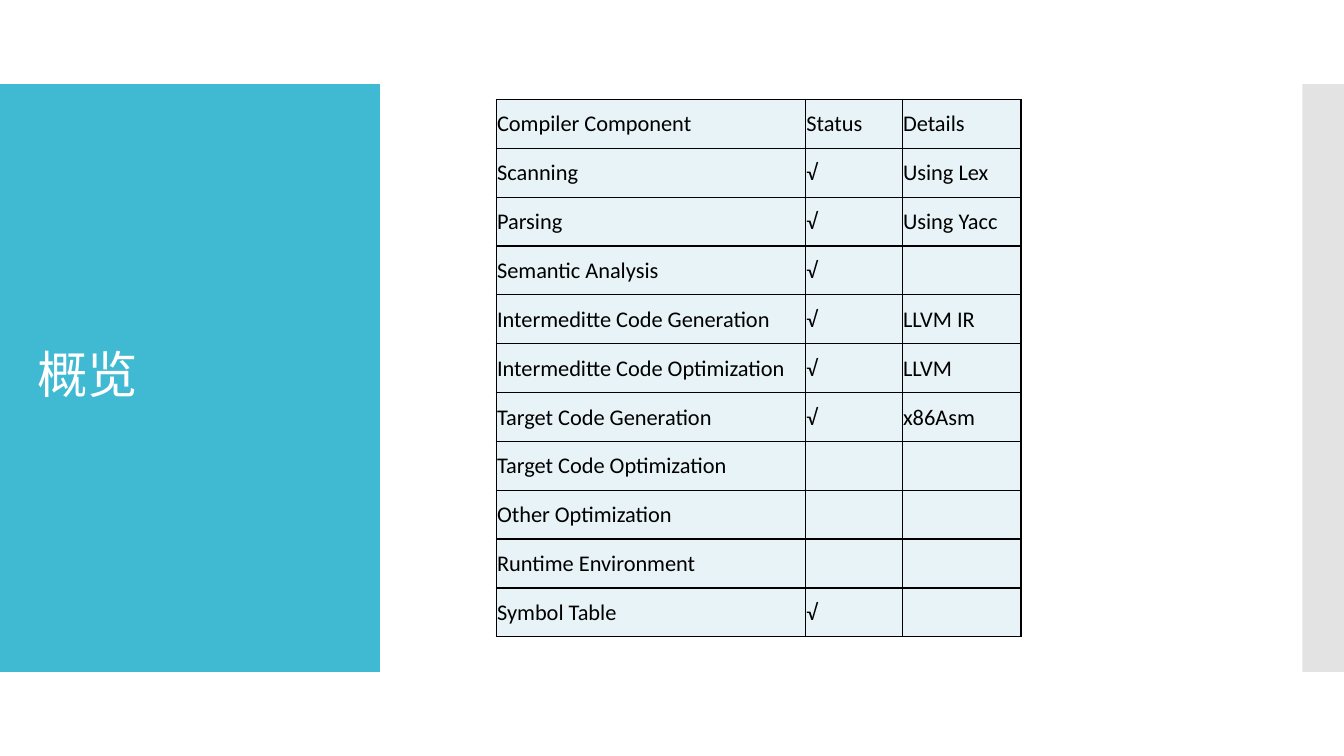
from lxml import etree
from pptx import Presentation
from pptx.dml.color import RGBColor
from pptx.enum.shapes import MSO_SHAPE
from pptx.enum.text import MSO_ANCHOR
from pptx.oxml import parse_xml
from pptx.oxml.ns import nsdecls, qn
from pptx.util import Pt

RECT = MSO_SHAPE.RECTANGLE
MIDDLE = MSO_ANCHOR.MIDDLE
TEAL = RGBColor(0x40, 0xBA, 0xD2)
GREY = RGBColor(0xC8, 0xC8, 0xC8)
PALE = RGBColor(0xE8, 0xF3, 0xF7)
WHITE = RGBColor(0xFF, 0xFF, 0xFF)
BLACK = RGBColor(0, 0, 0)
FONT = "Calibri"
DONE = "√"

ROWS = [
    ("Compiler Component", "Status", "Details"),
    ("Scanning", DONE, "Using Lex"),
    ("Parsing", DONE, "Using Yacc"),
    ("Semantic Analysis", DONE, ""),
    ("Intermeditte Code Generation", DONE, "LLVM IR"),
    ("Intermeditte Code Optimization", DONE, "LLVM"),
    ("Target Code Generation", DONE, "x86Asm"),
    ("Target Code Optimization", "", ""),
    ("Other Optimization", "", ""),
    ("Runtime Environment", "", ""),
    ("Symbol Table", DONE, ""),
]
WIDTHS = [221, 69, 85]
ROW_H = 34.9


def add_band(left, width, color):
    band = slide.shapes.add_shape(RECT, Pt(left), Pt(60), Pt(width), Pt(420))
    band.shadow.inherit = False
    band.fill.solid()
    band.fill.fore_color.rgb = color
    band.line.fill.background()
    return band


def set_font(para, size, color):
    para.font.name = FONT
    para.font.size = Pt(size)
    para.font.color.rgb = color


deck = Presentation()
deck.slide_width, deck.slide_height = Pt(960), Pt(540)
slide = deck.slides.add_slide(deck.slide_layouts[6])

# Side bands
add_band(0, 271.3, TEAL)
edge = add_band(930.2, 29.8, GREY)
tint = edge.element.spPr.find(qn("a:solidFill"))[0]
etree.SubElement(tint, qn("a:alpha"), val="50000")

# Title
title = slide.shapes.add_textbox(Pt(20), Pt(88.5), Pt(232), Pt(362))
frame = title.text_frame
frame.word_wrap = True
frame.vertical_anchor = MIDDLE
para = frame.paragraphs[0]
para.text = "概览"
para.line_spacing = 0.9
set_font(para, 36, WHITE)
title.element.find(".//" + qn("a:defRPr")).set("spc", "-60")

# Status table
holder = slide.shapes.add_table(len(ROWS), len(WIDTHS), Pt(354.4), Pt(71),
                                Pt(sum(WIDTHS)), Pt(ROW_H * len(ROWS)))
table = holder.table
for col, width in zip(table.columns, WIDTHS):
    col.width = Pt(width)
for r, words in enumerate(ROWS):
    table.rows[r].height = Pt(ROW_H)
    for c, word in enumerate(words):
        cell = table.cell(r, c)
        cell.margin_left = cell.margin_right = cell.margin_top = Pt(0.7)
        cell.margin_bottom = 0
        cell.vertical_anchor = MIDDLE
        cell.fill.solid()
        cell.fill.fore_color.rgb = PALE
        para = cell.text_frame.paragraphs[0]
        para.text = word
        set_font(para, 16, BLACK)

# Cell borders go ahead of the fill
for props in holder.element.iter(qn("a:tcPr")):
    for i, side in enumerate("LRTB"):
        props.insert(i, parse_xml(
            f'<a:ln{side} {nsdecls("a")} w="{Pt(1)}"><a:solidFill>'
            f'<a:srgbClr val="{BLACK}"/></a:solidFill></a:ln{side}>'))

deck.save("out.pptx")
